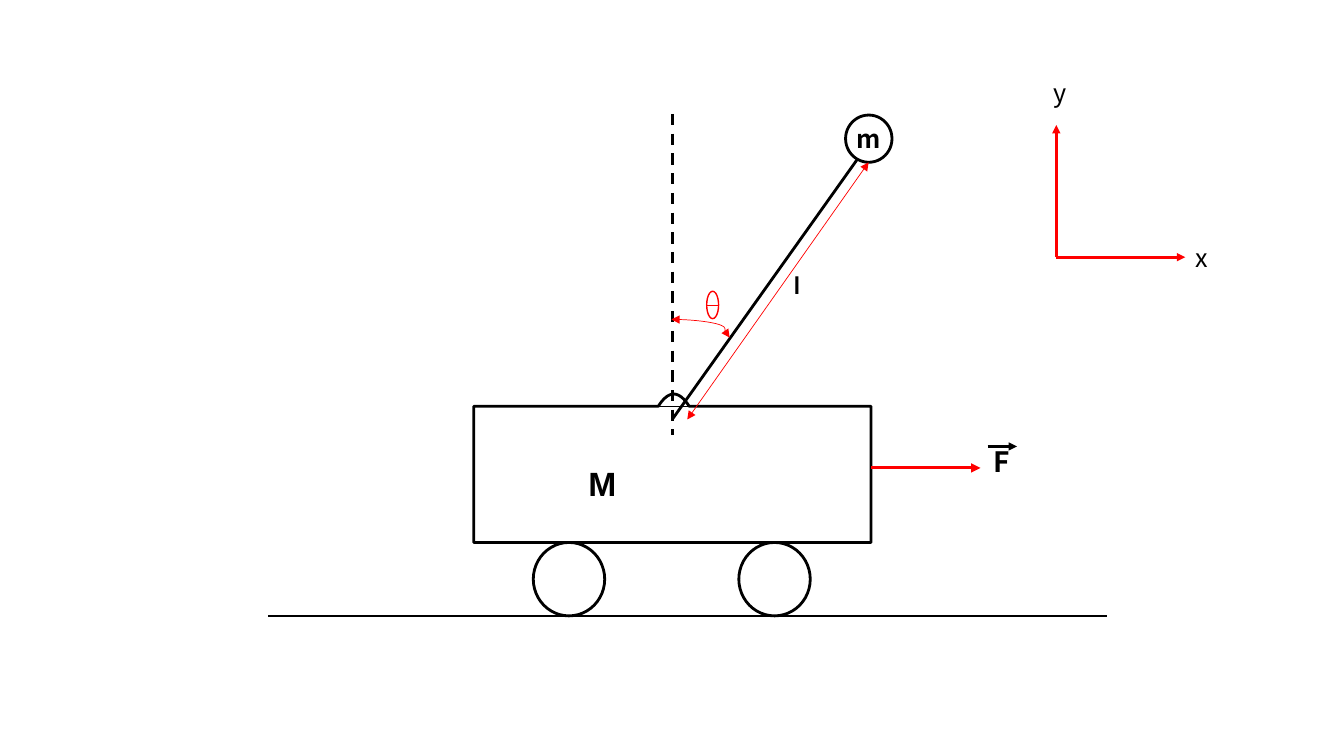
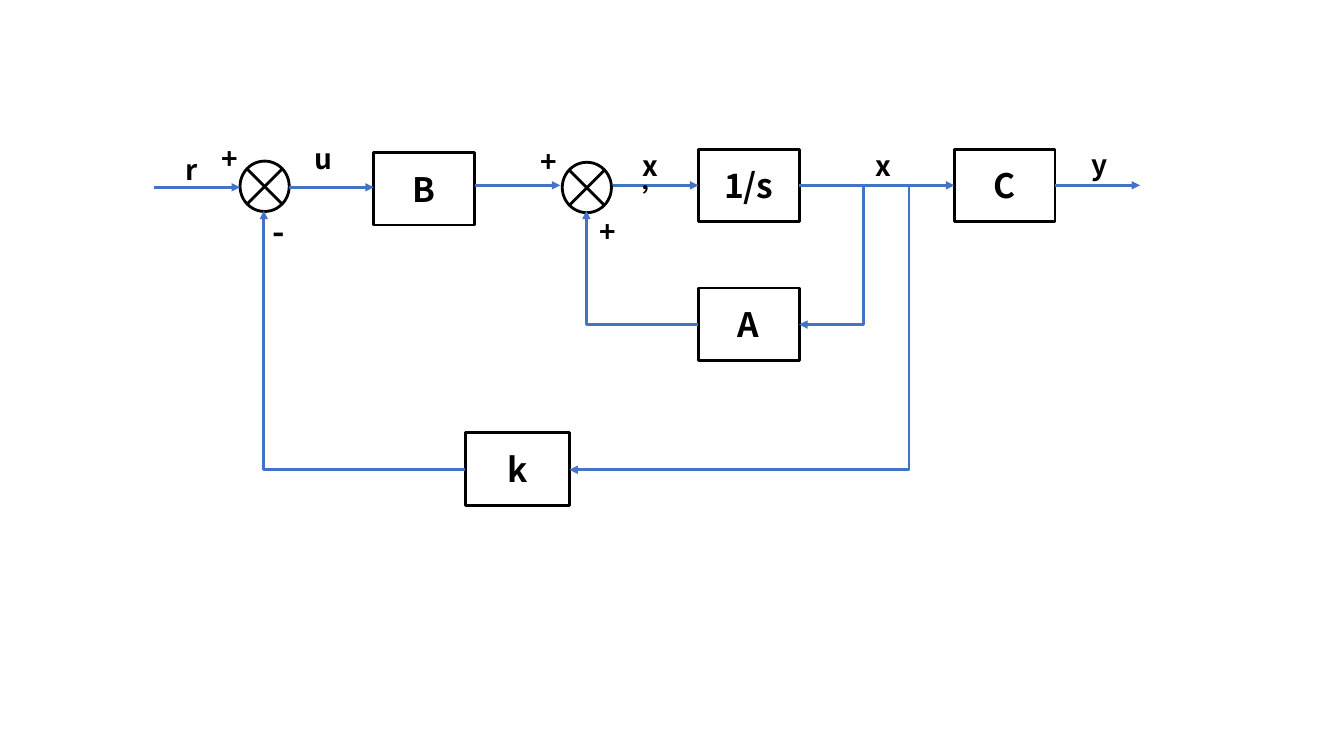
from pptx import Presentation
from pptx import util as u
from pptx.dml import color as c
from pptx.enum import dml, shapes, text
from pptx.oxml import ns, xmlchemy

COLORS = {"ink": "000000", "paper": "FFFFFF", "accent": "FF0000", "signal": "4472C4"}
FONT = "Noto Sans CJK SC"


def rgb(name):
    return c.RGBColor.from_string(COLORS[name])


class Diagram:
    def __init__(self):
        self.deck = Presentation()
        self.deck.slide_width, self.deck.slide_height = u.Cm(33.87), u.Cm(19.05)
        self.slide = None

    def new_slide(self):
        self.slide = self.deck.slides.add_slide(self.deck.slide_layouts[6])
        fill = self.slide.background.fill
        fill.solid()
        fill.fore_color.rgb = rgb("paper")

    def stroke(self, item, color, weight):
        item.line.color.rgb = rgb(color)
        item.line.width = u.Pt(weight)

    def set_words(self, frame, words, size, font=FONT, bold=True):
        frame.text = words
        span = frame.paragraphs[0].runs[0]
        span.font.name = font
        span.font.size = u.Pt(size)
        span.font.bold = bold
        span.font.color.rgb = rgb("ink")

    def label(self, words, left, top, width=0.81, height=1.12, size=20, font=FONT, bold=True):
        box = self.slide.shapes.add_textbox(*map(u.Cm, (left, top, width, height)))
        box.text_frame.word_wrap = True
        self.set_words(box.text_frame, words, size, font, bold)

    def shape(self, kind, left, top, width, height, words="", size=24,
              color="ink", weight=2, fill=None):
        shape = self.slide.shapes.add_shape(kind, *map(u.Cm, (left, top, width, height)))
        shape.shadow.inherit = False
        if fill:
            shape.fill.solid()
            shape.fill.fore_color.rgb = rgb(fill)
        else:
            shape.fill.background()
        self.stroke(shape, color, weight)
        if words:
            frame = shape.text_frame
            frame.margin_left = frame.margin_right = 0
            frame.margin_top = frame.margin_bottom = 0
            frame.word_wrap = False
            frame.vertical_anchor = text.MSO_ANCHOR.MIDDLE
            self.set_words(frame, words, size)
            frame.paragraphs[0].alignment = text.PP_ALIGN.CENTER

    def circle(self, *place, **style):
        self.shape(shapes.MSO_SHAPE.OVAL, *place, **style)

    def block(self, words, left, top, width=2.54):
        self.shape(shapes.MSO_SHAPE.RECTANGLE, left, top, width, 1.83, words)

    def outline(self, points):
        points = [(u.Cm(x), u.Cm(y)) for x, y in points]
        builder = self.slide.shapes.build_freeform(*points[0])
        builder.add_line_segments(points[1:], close=True)
        shape = builder.convert_to_shape()
        shape.shadow.inherit = False
        shape.fill.background()
        self.stroke(shape, "ink", 2)

    def line(self, x1, y1, x2, y2, color="ink", weight=2, ends=(),
             kind=shapes.MSO_CONNECTOR.STRAIGHT, dashed=False):
        line = self.slide.shapes.add_connector(kind, *map(u.Cm, (x1, y1, x2, y2)))
        self.stroke(line, color, weight)
        if dashed:
            line.line.dash_style = dml.MSO_LINE.DASH
        outline = line._element.spPr.find(ns.qn("a:ln"))
        for end in ends:
            arrow = xmlchemy.OxmlElement(f"a:{end}End")
            arrow.set("type", "triangle")
            outline.append(arrow)
        line._element.spPr.append(xmlchemy.OxmlElement("a:effectLst"))
        return line

    def arrow(self, *points, color="signal", weight=2):
        self.line(*points, color=color, weight=weight, ends=("tail",))

    def elbow(self, *points, end="tail"):
        line = self.line(*points, color="signal", ends=(end,), kind=shapes.MSO_CONNECTOR.ELBOW)
        line._element.spPr.find(ns.qn("a:prstGeom")).set("prst", "bentConnector2")

    def arc(self, *points, bend):
        line = self.line(*points, color="accent", weight=0.5, ends=("head", "tail"),
                         kind=shapes.MSO_CONNECTOR.CURVE)
        geometry = line._element.spPr.find(ns.qn("a:prstGeom"))
        guides = geometry.find(ns.qn("a:avLst"))
        if guides is None:
            guides = xmlchemy.OxmlElement("a:avLst")
            geometry.append(guides)
        guide = xmlchemy.OxmlElement("a:gd")
        guide.set("name", "adj1")
        guide.set("fmla", f"val {bend}")
        guides.append(guide)

    def sum_point(self, x, y):
        self.circle(x - 0.62, y - 0.64, 1.24, 1.27)
        for rise in (-0.45, 0.45):
            self.line(x - 0.45, y - rise, x + 0.45, y + rise)


def pendulum(page):
    page.new_slide()
    page.line(6.76, 15.52, 27.89, 15.52)
    for wheel_left in (13.44, 18.62):
        page.circle(wheel_left, 13.67, 1.8, 1.85)

    left, right, top, bottom = 11.94, 21.95, 10.24, 13.67
    hinge, radius, rise = 16.98, 0.39, 0.31
    steps = [i / 8 for i in range(-8, 9)]
    dome = [(hinge + radius * s, top - rise * (1 - s * s)) for s in steps]
    page.outline(dome + [(right, top), (right, bottom), (left, bottom), (left, top)])

    page.line(16.94, 2.87, 16.94, 10.97, dashed=True)
    page.line(16.94, 10.57, 21.95, 3.53)
    page.circle(21.31, 2.9, 1.17, 1.19, words="m", size=18, fill="paper")
    page.arc(18.39, 8.51, 16.92, 8.05, bend=8100)
    page.circle(17.81, 7.34, 0.3, 0.69, color="accent", weight=1)
    page.line(17.81, 7.7, 18.11, 7.7, color="accent", weight=0.5)
    page.line(17.32, 10.57, 21.89, 4.09, color="accent", weight=0.5, ends=("head", "tail"))
    page.arrow(right, 11.79, 24.71, 11.79, color="accent", weight=2.25)
    origin = (26.62, 6.48)
    for tip in ((26.62, 3.15), (29.87, 6.48)):
        page.arrow(*origin, *tip, color="accent")

    page.label("M", 14.58, 11.53, 1.98, 1.27, size=24, font="Arial")
    page.label("l", 19.76, 6.65, 0.71, 1.02, size=18, font="Calibri")
    for name, x, y in (("x", 29.87, 5.97), ("y", 26.29, 1.83)):
        page.label(name, x, y, 1.42, 1.02, size=18, bold=False)
    page.label("F", 24.79, 11.07, 1.5)
    page.arrow(24.89, 11.25, 25.63, 11.25, color="ink", weight=1.5)
    page.line(hinge - radius, top, hinge + radius, top, weight=0.5)


def control_loop(page):
    page.new_slide()
    for block in (("A", 17.6, 7.26), ("B", 9.42, 3.84), ("C", 24.05, 3.76),
                  ("k", 11.73, 10.9, 2.62), ("1/s", 17.6, 3.76)):
        page.block(*block)
    page.sum_point(6.67, 4.7)
    page.sum_point(14.79, 4.73)

    for start, stop, y in ((3.89, 6.05, 4.72), (7.29, 9.42, 4.72), (11.96, 14.12, 4.67),
                           (15.44, 17.6, 4.67), (20.14, 24.05, 4.67), (26.59, 28.73, 4.67)):
        page.arrow(start, y, stop, y)
    for block_left, block_right, y, sum_x, tap_x in ((17.6, 20.14, 8.18, 14.78, 21.77),
                                                     (11.73, 14.35, 11.84, 6.65, 22.91)):
        page.elbow(block_left, y, sum_x, 5.31)
        page.elbow(block_right, y, tap_x, 4.67, end="head")

    for label in (("r", 4.42, 3.73), ("+", 5.33, 3.45), ("u", 7.67, 3.45),
                  ("+", 13.36, 3.51), ("+", 14.86, 5.28), ("x’", 15.95, 3.61, 1.32),
                  ("x", 21.82, 3.63), ("y", 27.25, 3.58)):
        page.label(*label)
    page.label("-", 6.63, 5.18, height=1.27, size=24)


def main():
    page = Diagram()
    pendulum(page)
    control_loop(page)
    page.deck.save("out.pptx")


if __name__ == "__main__":
    main()
